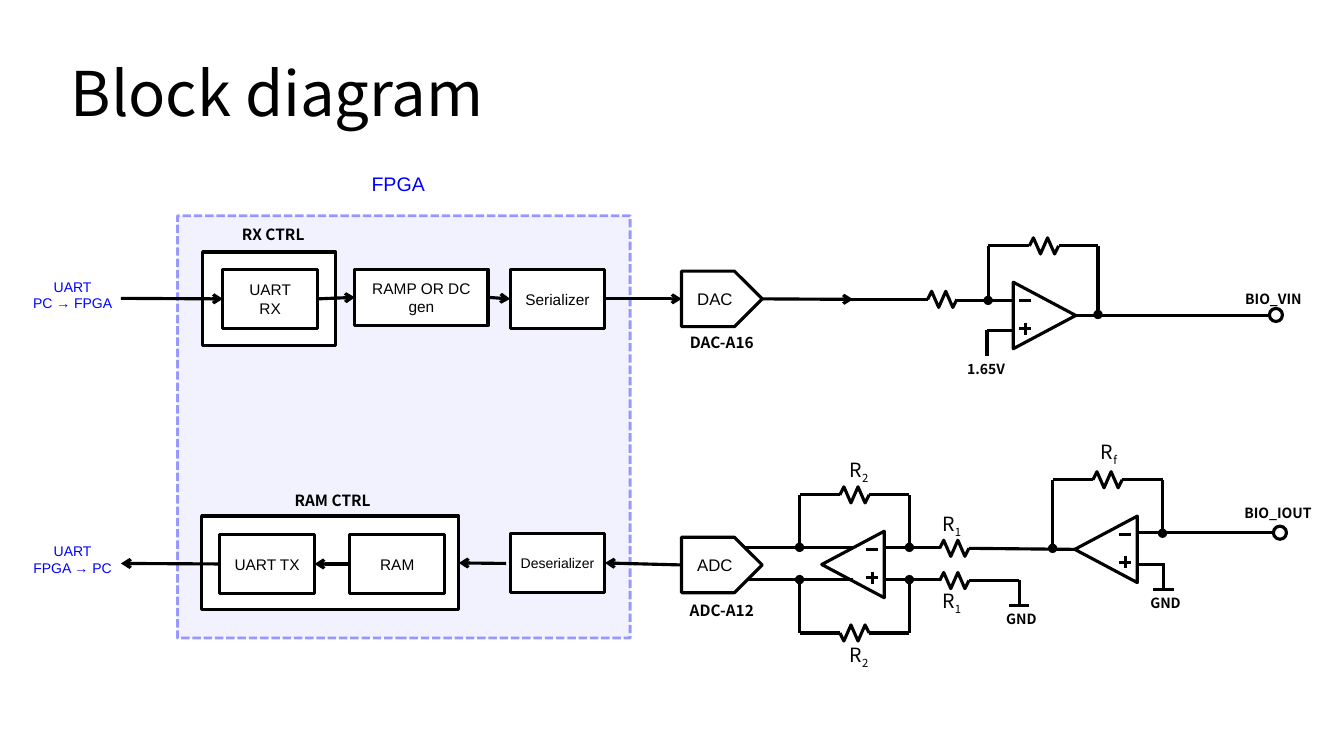
from lxml import etree
from pptx import Presentation, util as u
from pptx.dml.color import RGBColor
from pptx.enum import dml, shapes, text
from pptx.oxml.ns import qn

BLACK = RGBColor(0, 0, 0)
WHITE = RGBColor(255, 255, 255)
BLUE = RGBColor(0, 0, 255)
SANS = "Arial"
NOTO = "Noto Sans CJK KR"
KIND = shapes.MSO_SHAPE
ZIGZAG = [(0, 0), (0.04, -0.08), (0.11, 0.08), (0.18, -0.08), (0.25, 0.08), (0.29, 0)]


def inches(*nums):
    return [u.Inches(n) for n in nums]


def style(part):
    part.line.color.rgb = BLACK
    part.line.width = u.Pt(2.25)


def write(frame, words, size, face, color=BLACK, bold=False, sub=""):
    frame.word_wrap = True
    frame.margin_left = frame.margin_right = 0
    frame.text = words
    for para in frame.paragraphs:
        para.alignment = text.PP_ALIGN.CENTER
        font = para.font
        font.size = u.Pt(size)
        font.name = face
        font.bold = bold
        font.color.rgb = color
    if sub:
        run = frame.paragraphs[0].add_run()
        run.text = sub
        run._r.get_or_add_rPr().set("baseline", "-25000")


def label(slide, place, words, size, face=NOTO, color=BLACK, bold=False, sub=""):
    box = slide.shapes.add_textbox(*inches(*place))
    write(box.text_frame, words, size, face, color, bold, sub)


def block(slide, place, words="", size=11, kind=KIND.RECTANGLE):
    box = slide.shapes.add_shape(kind, *inches(*place))
    box.shadow.inherit = False
    box.fill.solid()
    box.fill.fore_color.rgb = WHITE
    style(box)
    if words:
        write(box.text_frame, words, size, SANS)
        box.text_frame.vertical_anchor = text.MSO_ANCHOR.MIDDLE
    return box


def wire(slide, start, end, head="", tail="", src=None, dst=None):
    line = slide.shapes.add_connector(
        shapes.MSO_CONNECTOR.STRAIGHT, *inches(*start, *end))
    style(line)
    ln = line.line._get_or_add_ln()
    for tag, mark in (("a:headEnd", head), ("a:tailEnd", tail)):
        if mark:
            etree.SubElement(ln, qn(tag)).set("type", mark)
    etree.SubElement(line._element.spPr, qn("a:effectLst"))
    if src:
        line.begin_connect(*src)
    if dst:
        line.end_connect(*dst)


def flow(slide, start, end, src=None, dst=None):
    wire(slide, start, end, tail="arrow", src=src, dst=dst)


def resistor(slide, x, y, flip=1):
    spots = [inches(x + dx, y + dy * flip) for dx, dy in ZIGZAG]
    pen = slide.shapes.build_freeform(*spots[0])
    pen.add_line_segments(spots[1:], close=False)
    zig = pen.convert_to_shape()
    zig.shadow.inherit = False
    zig.fill.background()
    style(zig)


def opamp(slide, x, y, turn):
    amp = slide.shapes.add_shape(
        KIND.ISOSCELES_TRIANGLE, *inches(x - 0.33, y - 0.31, 0.66, 0.62))
    amp.rotation = turn
    amp.shadow.inherit = False
    amp.fill.background()
    style(amp)
    sign = x - 0.19 if turn == 90 else x + 0.19
    for dy in (-0.15, 0.13):
        wire(slide, (sign - 0.06, y + dy), (sign + 0.06, y + dy))
    wire(slide, (sign, y + 0.07), (sign, y + 0.19))


def loop(slide, left, right, low_left, low_right, y, flip=1):
    x = round((left + right) / 2 - 0.14, 2)
    wire(slide, (left, low_left), (left, y), head="oval")
    wire(slide, (right, low_right), (right, y), head="oval")
    wire(slide, (left, y), (x, y))
    wire(slide, (x + 0.29, y), (right, y))
    resistor(slide, x, y, flip)


def ground(slide, x, y):
    wire(slide, (x, y), (x, y + 0.26))
    wire(slide, (x - 0.1, y + 0.26), (x + 0.1, y + 0.26))
    label(slide, (x - 0.36, y + 0.26, 0.76, 0.28), "GND", 10, bold=True)


def heading(slide):
    title = slide.shapes.title
    title.left, title.top, title.width, title.height = inches(0.6, 0.58, 7.39, 0.84)
    frame = title.text_frame
    frame.text = "Block diagram"
    frame.auto_size = text.MSO_AUTO_SIZE.NONE
    frame.vertical_anchor = text.MSO_ANCHOR.TOP
    para = frame.paragraphs[0]
    para.alignment = text.PP_ALIGN.LEFT
    para.line_spacing = 0.9
    para.font.size = u.Pt(44)
    para.font.name = NOTO
    para.font.color.rgb = BLACK


def fpga(slide):
    area = block(slide, (1.76, 2.14, 4.49, 4.19))
    area.fill.fore_color.rgb = BLUE
    area.line.color.rgb = BLUE
    area.line.width = u.Pt(2)
    area.line.dash_style = dml.MSO_LINE.SQUARE_DOT
    tints = area._element.spPr.iter(qn("a:srgbClr"))
    for tint, alpha in zip(list(tints), ("5000", "38000")):
        etree.SubElement(tint, qn("a:alpha")).set("val", alpha)
    label(slide, (3.34, 1.66, 1.22, 0.34), "FPGA", 14, SANS, BLUE)
    label(slide, (0.15, 2.71, 1.14, 0.45), "UART\nPC → FPGA", 10, SANS, BLUE)
    label(slide, (0.15, 5.33, 1.14, 0.45), "UART\nFPGA → PC", 10, SANS, BLUE)


def output(slide):
    block(slide, (2.01, 2.5, 1.32, 0.93))
    label(slide, (1.89, 2.18, 1.64, 0.29), "RX CTRL", 11, bold=True)
    uart = block(slide, (2.21, 2.67, 0.94, 0.59), "UART\vRX")
    ramp = block(slide, (3.52, 2.67, 1.32, 0.56), "RAMP OR DC\ngen")
    serial = block(slide, (5.06, 2.67, 0.94, 0.59), "Serializer")
    dac = block(slide, (6.76, 2.69, 0.8, 0.55), "DAC", 12, KIND.PENTAGON)
    label(slide, (6.58, 3.26, 1.16, 0.29), "DAC-A16", 11, bold=True)
    flow(slide, (1.2, 2.96), (2.21, 2.96), dst=(uart, 1))
    flow(slide, (3.15, 2.96), (3.52, 2.95), (uart, 3), (ramp, 1))
    flow(slide, (4.84, 2.95), (5.06, 2.97), (ramp, 3), (serial, 1))
    flow(slide, (6, 2.97), (6.76, 2.97), (serial, 3), (dac, 1))
    flow(slide, (7.56, 2.97), (8.46, 2.97), (dac, 3))
    wire(slide, (8.34, 2.97), (9.2, 2.97))
    resistor(slide, 9.2, 2.97)
    wire(slide, (9.49, 2.98), (10.05, 2.98))
    opamp(slide, 10.36, 3.13, 90)
    loop(slide, 9.8, 10.89, 2.98, 3.12, 2.44)
    wire(slide, (9.79, 3.28), (10.05, 3.28))
    wire(slide, (9.79, 3.53), (9.79, 3.27))
    label(slide, (9.4, 3.53, 0.76, 0.28), "1.65V", 10, bold=True)
    wire(slide, (10.67, 3.13), (12.59, 3.13))
    block(slide, (12.59, 3.06, 0.13, 0.13), kind=KIND.OVAL)
    label(slide, (12.25, 2.83, 0.76, 0.27), "BIO_VIN", 10, bold=True)


def sense(slide):
    opamp(slide, 10.97, 5.45, 270)
    loop(slide, 10.44, 11.53, 5.44, 5.29, 4.76)
    wire(slide, (11.28, 5.28), (12.63, 5.28))
    wire(slide, (11.28, 5.6), (11.54, 5.6))
    ground(slide, 11.54, 5.59)
    block(slide, (12.63, 5.22, 0.13, 0.13), kind=KIND.OVAL)
    label(slide, (12.18, 4.96, 0.99, 0.28), "BIO_IOUT", 10, bold=True)
    opamp(slide, 8.46, 5.6, 270)
    for y, top, flip in ((5.43, 4.91, 1), (5.75, 6.28, -1)):
        wire(slide, (7.34, y), (8.46, y))
        wire(slide, (8.77, y), (9.32, y))
        resistor(slide, 9.32, y + 0.01)
        loop(slide, 7.93, 9.02, y, y, top, flip)
    wire(slide, (9.61, 5.44), (10.66, 5.45))
    wire(slide, (9.61, 5.76), (10.11, 5.76))
    ground(slide, 10.11, 5.75)
    for x, y, sub in ((10.71, 4.32, "f"), (9.15, 5.03, "1"), (9.15, 5.79, "1"),
                      (8.23, 4.49, "2"), (8.23, 6.33, "2")):
        label(slide, (x, y, 0.58, 0.34), "R", 14, sub=sub)


def capture(slide):
    adc = block(slide, (6.76, 5.33, 0.8, 0.55), "ADC", 12, KIND.PENTAGON)
    label(slide, (6.58, 5.91, 1.16, 0.29), "ADC-A12", 11, bold=True)
    serial = block(slide, (5.06, 5.29, 0.94, 0.59), "Deserializer", 10)
    ctrl = block(slide, (2, 5.12, 2.55, 0.93))
    label(slide, (2.48, 4.82, 1.64, 0.29), "RAM CTRL", 11, bold=True)
    ram = block(slide, (3.47, 5.3, 0.94, 0.59), "RAM")
    uart = block(slide, (2.18, 5.3, 0.94, 0.59), "UART TX")
    flow(slide, (6.76, 5.59), (6, 5.59), (adc, 1), (serial, 3))
    flow(slide, (5.02, 5.59), (4.55, 5.59), dst=(ctrl, 3))
    flow(slide, (3.47, 5.59), (3.12, 5.59), (ram, 1), (uart, 3))
    flow(slide, (2.18, 5.59), (1.2, 5.59), (uart, 1))


def main():
    deck = Presentation()
    deck.slide_width, deck.slide_height = inches(13.33, 7.5)
    slide = deck.slides.add_slide(deck.slide_layouts[5])
    heading(slide)
    fpga(slide)
    output(slide)
    sense(slide)
    capture(slide)
    deck.save("out.pptx")


if __name__ == "__main__":
    main()
